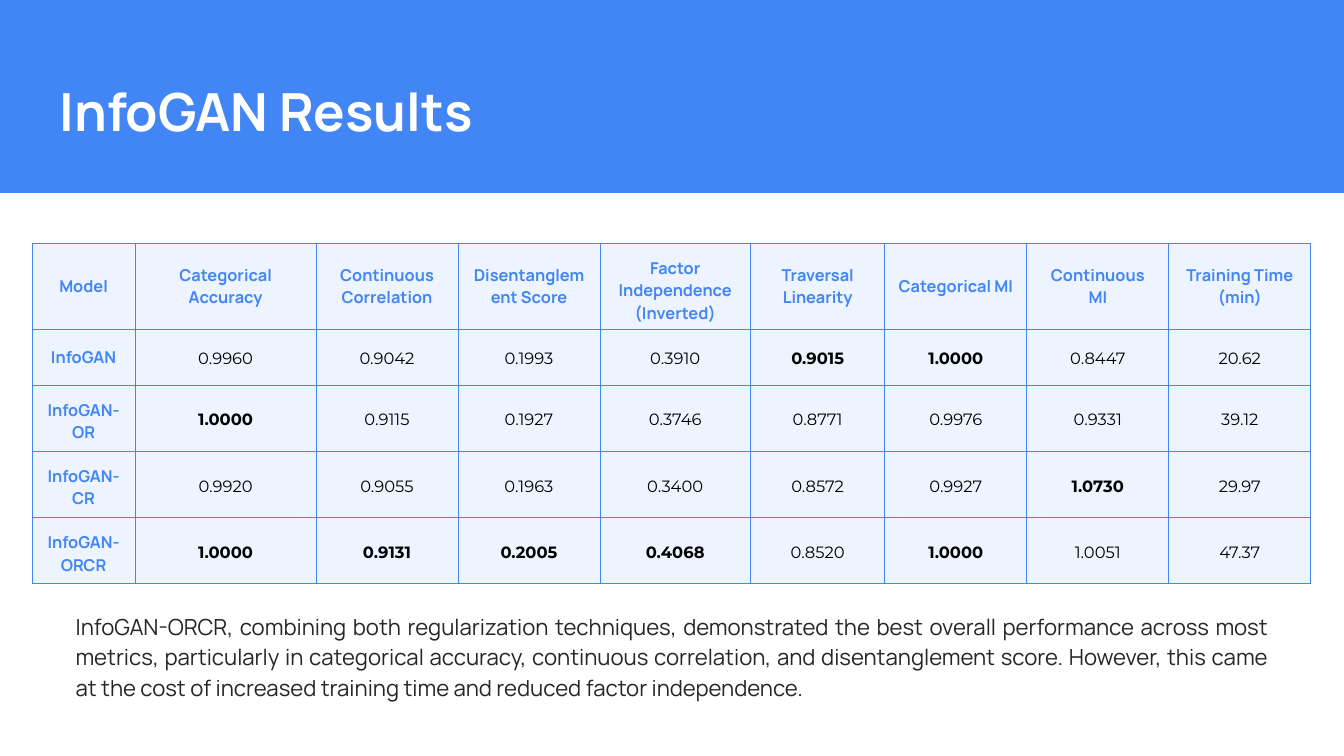
from dataclasses import dataclass

from lxml.etree import SubElement
from pptx import Presentation
from pptx.dml.color import RGBColor
from pptx.enum.shapes import MSO_SHAPE
from pptx.enum.text import MSO_ANCHOR, PP_ALIGN
from pptx.oxml.ns import qn
from pptx.util import Pt


@dataclass(frozen=True)
class Theme:
    blue: str = "4285F4"
    pale: str = "EDF4FF"
    white: str = "FFFFFF"
    black: str = "000000"
    ink: str = "272525"
    font: str = "Manrope"
    number_font: str = "Montserrat"
    title: float = 45
    body: float = 19
    cell: float = 14
    line: float = 0.75
    inset: float = 11.52


class SlideBuilder:
    def __init__(self, prs, theme):
        self.theme = theme
        self.s = prs.slides.add_slide(prs.slide_layouts[6])

    def run(self, p, text, size, color, bold=False, font=None):
        r = p.add_run()
        r.text = text
        r.font.size = Pt(size)
        r.font.name = font or self.theme.font
        r.font.bold = bold
        r.font.color.rgb = RGBColor.from_string(color)

    def band(self, x, y, w, h):
        color = RGBColor.from_string(self.theme.blue)
        sp = self.s.shapes.add_shape(MSO_SHAPE.RECTANGLE, Pt(x), Pt(y), Pt(w), Pt(h))
        sp.shadow.inherit = False
        sp.fill.solid()
        sp.fill.fore_color.rgb = color
        sp.line.color.rgb = color
        sp.line.width = Pt(self.theme.line)

    def text(self, x, y, w, h, text, size, color, bold=False, align=PP_ALIGN.LEFT, spacing=1.0):
        tf = self.s.shapes.add_textbox(Pt(x), Pt(y), Pt(w), Pt(h)).text_frame
        tf.word_wrap = True
        inset = Pt(self.theme.inset)
        tf.margin_left = tf.margin_right = tf.margin_top = tf.margin_bottom = inset
        p = tf.paragraphs[0]
        p.alignment = align
        p.line_spacing = spacing
        self.run(p, text, size, color, bold)

    def borders(self, cell):
        tcPr = cell._tc.get_or_add_tcPr()
        for side in ("lnL", "lnR", "lnT", "lnB"):
            ln = SubElement(tcPr, qn(f"a:{side}"), w=str(Pt(self.theme.line)))
            fill = SubElement(ln, qn("a:solidFill"))
            SubElement(fill, qn("a:srgbClr"), val=self.theme.blue)

    def cell(self, cell, text, label, bold):
        t = self.theme
        self.borders(cell)
        cell.fill.solid()
        cell.fill.fore_color.rgb = RGBColor.from_string(t.pale)
        cell.vertical_anchor = MSO_ANCHOR.MIDDLE
        cell.margin_left = cell.margin_right = Pt(t.inset if label else 5.04)
        cell.margin_top = cell.margin_bottom = Pt(t.inset if label else 7.2)
        p = cell.text_frame.paragraphs[0]
        p.alignment = PP_ALIGN.CENTER
        if label:
            self.run(p, text, t.cell, t.blue, True)
        else:
            p.line_spacing = 1.15
            self.run(p, text, t.cell, t.black, bold, t.number_font)

    def table(self, x, y, widths, row_height, rows):
        frame = self.s.shapes.add_table(
            len(rows), len(widths), Pt(x), Pt(y), Pt(sum(widths)), Pt(row_height * len(rows)))
        table = frame.table
        for column, width in zip(table.columns, widths):
            column.width = Pt(width)
        best = [max(column[1:], key=float) for column in list(zip(*rows))[1:-1]]
        for i, row in enumerate(rows):
            table.rows[i].height = Pt(row_height)
            for j, value in enumerate(row):
                label = i == 0 or j == 0
                bold = not label and j <= len(best) and value == best[j - 1]
                self.cell(table.cell(i, j), value, label, bold)


RESULTS = [
    ("Model", "Categorical Accuracy", "Continuous Correlation", "Disentanglement Score",
     "Factor Independence (Inverted)", "Traversal Linearity", "Categorical MI",
     "Continuous MI", "Training Time (min)"),
    ("InfoGAN", "0.9960", "0.9042", "0.1993", "0.3910", "0.9015", "1.0000", "0.8447", "20.62"),
    ("InfoGAN-OR", "1.0000", "0.9115", "0.1927", "0.3746", "0.8771", "0.9976", "0.9331", "39.12"),
    ("InfoGAN-CR", "0.9920", "0.9055", "0.1963", "0.3400", "0.8572", "0.9927", "1.0730", "29.97"),
    ("InfoGAN-ORCR", "1.0000", "0.9131", "0.2005", "0.4068", "0.8520", "1.0000", "1.0051", "47.37"),
]
WIDTHS = [88.5, 155, 121.7, 121.7, 129, 115.2, 121.7, 121.7, 121.7]
SUMMARY = (
    "InfoGAN-ORCR, combining both regularization techniques, demonstrated the best overall "
    "performance across most metrics, particularly in categorical accuracy, continuous "
    "correlation, and disentanglement score. However, this came at the cost of increased "
    "training time and reduced factor independence."
)


def main():
    prs = Presentation()
    prs.slide_width, prs.slide_height = Pt(1152), Pt(648)
    theme = Theme()
    slide = SlideBuilder(prs, theme)
    slide.band(0, 0.7, 1152, 164.2)
    slide.text(39.6, 56.2, 1073.5, 72, "InfoGAN Results", theme.title, theme.white, bold=True)
    slide.table(27.4, 208.8, WIDTHS, 48.2, RESULTS)
    slide.text(53.3, 510.5, 1045.4, 92.9, SUMMARY, theme.body, theme.ink,
               align=PP_ALIGN.JUSTIFY, spacing=1.15)
    prs.save("out.pptx")


if __name__ == "__main__":
    main()
